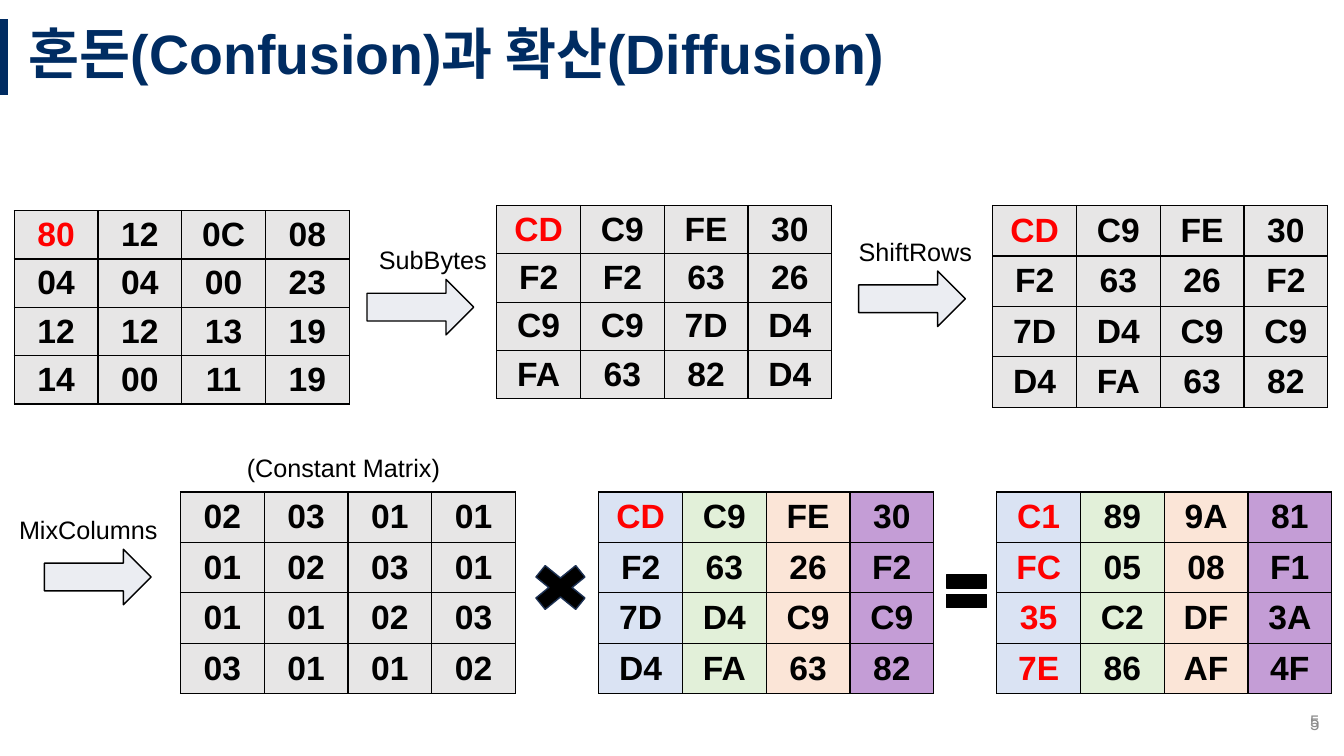
from lxml import etree
from pptx import Presentation
from pptx import util as u
from pptx.dml.color import RGBColor
from pptx.enum import shapes, text
from pptx.oxml import ns

FONT = "Arial"
COLORS = {
    "navy": "002C62", "black": "000000", "red": "FF0000", "page": "8C8C8C",
    "arrow": "EBEDF2", "edge": "1C3052", "gray": "E7E6E6", "blue": "DAE3F3",
    "green": "E2F0D9", "peach": "FBE5D7", "purple": "C49DD6",
}
PLAIN = ["gray"] * 4
BY_COLUMN = ["blue", "green", "peach", "purple"]
CELL_W = 2.11

INPUT = "80 12 0C 08 / 04 04 00 23 / 12 12 13 19 / 14 00 11 19"
SUBSTITUTED = "CD C9 FE 30 / F2 F2 63 26 / C9 C9 7D D4 / FA 63 82 D4"
SHIFTED = "CD C9 FE 30 / F2 63 26 F2 / 7D D4 C9 C9 / D4 FA 63 82"
CONSTANT = "02 03 01 01 / 01 02 03 01 / 01 01 02 03 / 03 01 01 02"
MIXED = "C1 89 9A 81 / FC 05 08 F1 / 35 C2 DF 3A / 7E 86 AF 4F"


def rgb(name):
    return RGBColor.from_string(COLORS[name])


def style(p, size, color="black", bold=False, align=text.PP_ALIGN.LEFT):
    p.alignment = align
    p.font.name, p.font.size, p.font.bold = FONT, u.Pt(size), bold
    p.font.color.rgb = rgb(color)


def add_text(s, words, x, y, w, h, size, anchor=text.MSO_ANCHOR.TOP, **look):
    tf = s.shapes.add_textbox(u.Cm(x), u.Cm(y), u.Cm(w), u.Cm(h)).text_frame
    tf.word_wrap = True
    tf.vertical_anchor = anchor
    p = tf.paragraphs[0]
    p.text = words
    style(p, size, **look)
    return p


def add_symbol(s, kind, x, y, w, h, fill="black", line="black"):
    sp = s.shapes.add_shape(kind, u.Cm(x), u.Cm(y), u.Cm(w), u.Cm(h))
    sp.shadow.inherit = False
    sp.fill.solid()
    sp.fill.fore_color.rgb = rgb(fill)
    sp.line.color.rgb = rgb(line)
    sp.line.width = u.Pt(1)


def add_arrow(s, x, y):
    add_symbol(s, shapes.MSO_SHAPE.RIGHT_ARROW, x, y, 2.69, 1.4, fill="arrow")


def add_borders(cell):
    tc_pr = cell._tc.get_or_add_tcPr()
    for side in ("a:lnL", "a:lnR", "a:lnT", "a:lnB"):
        ln = etree.SubElement(tc_pr, ns.qn(side), w=str(u.Pt(1)))
        fill = etree.SubElement(ln, ns.qn("a:solidFill"))
        etree.SubElement(fill, ns.qn("a:srgbClr"), val=COLORS["black"])


def add_matrix(s, values, x, y, row_h=1.27, fills=PLAIN, red_rows=0):
    """Add a byte matrix; the first red_rows cells of column one are red."""
    rows = [row.split() for row in values.split("/")]
    n = len(rows)
    table = s.shapes.add_table(n, n, u.Cm(x), u.Cm(y),
                               u.Cm(n * CELL_W), u.Cm(n * row_h)).table
    table.first_row = table.horz_banding = False
    for i, row in enumerate(rows):
        table.rows[i].height = u.Cm(row_h)
        table.columns[i].width = u.Cm(CELL_W)
        for j, value in enumerate(row):
            cell = table.cell(i, j)
            add_borders(cell)
            cell.fill.solid()
            cell.fill.fore_color.rgb = rgb(fills[j])
            cell.margin_top = cell.margin_bottom = u.Cm(0.1)
            cell.vertical_anchor = text.MSO_ANCHOR.MIDDLE
            p = cell.text_frame.paragraphs[0]
            p.text = value
            style(p, 24, "red" if j == 0 and i < red_rows else "black",
                  bold=True, align=text.PP_ALIGN.CENTER)


def add_title(s, words):
    bar = s.shapes.add_connector(shapes.MSO_CONNECTOR.STRAIGHT,
                                 u.Cm(0.1), u.Cm(0.48), u.Cm(0.1), u.Cm(2.39))
    bar.line.color.rgb = rgb("navy")
    bar.line.width = u.Pt(6)
    etree.SubElement(bar._element.spPr, ns.qn("a:effectLst"))
    p = add_text(s, words, 0.48, 0.48, 33.38, 1.91, 39.6,
                 text.MSO_ANCHOR.MIDDLE, color="navy", bold=True)
    p.line_spacing = 0.9


def main():
    prs = Presentation()
    prs.slide_width, prs.slide_height = u.Cm(33.87), u.Cm(19.05)
    s = prs.slides.add_slide(prs.slide_layouts[6])

    add_title(s, "혼돈(Confusion)과 확산(Diffusion)")
    for y in (17.65, 17.73):
        add_text(s, "5", 25.88, y, 7.62, 1.02, 12, text.MSO_ANCHOR.MIDDLE,
                 color="page", align=text.PP_ALIGN.RIGHT)

    add_matrix(s, INPUT, 0.36, 5.31, row_h=1.2, red_rows=1)
    add_matrix(s, SUBSTITUTED, 12.52, 5.18, row_h=1.2, red_rows=1)
    add_matrix(s, SHIFTED, 25.02, 5.18, red_rows=1)
    add_matrix(s, CONSTANT, 4.55, 12.4)
    add_matrix(s, SHIFTED, 15.09, 12.4, fills=BY_COLUMN, red_rows=1)
    add_matrix(s, MIXED, 25.12, 12.4, fills=BY_COLUMN, red_rows=4)

    for x, y in ((9.25, 7.04), (21.64, 6.83), (1.12, 13.84)):
        add_arrow(s, x, y)
    for words, x, y, w in (("SubBytes", 9.3, 6.02, 3.71),
                           ("ShiftRows", 21.39, 5.82, 3.68),
                           ("MixColumns", 0.23, 12.83, 4.62),
                           ("(Constant Matrix)", 5.97, 11.28, 6.12)):
        add_text(s, words, x, y, w, 1.02, 18)

    add_symbol(s, shapes.MSO_SHAPE.MATH_MULTIPLY, 13.16, 14.02, 1.93, 1.57, line="edge")
    add_symbol(s, shapes.MSO_SHAPE.MATH_EQUAL, 23.67, 14.2, 1.37, 1.4)

    prs.save("out.pptx")


if __name__ == "__main__":
    main()
